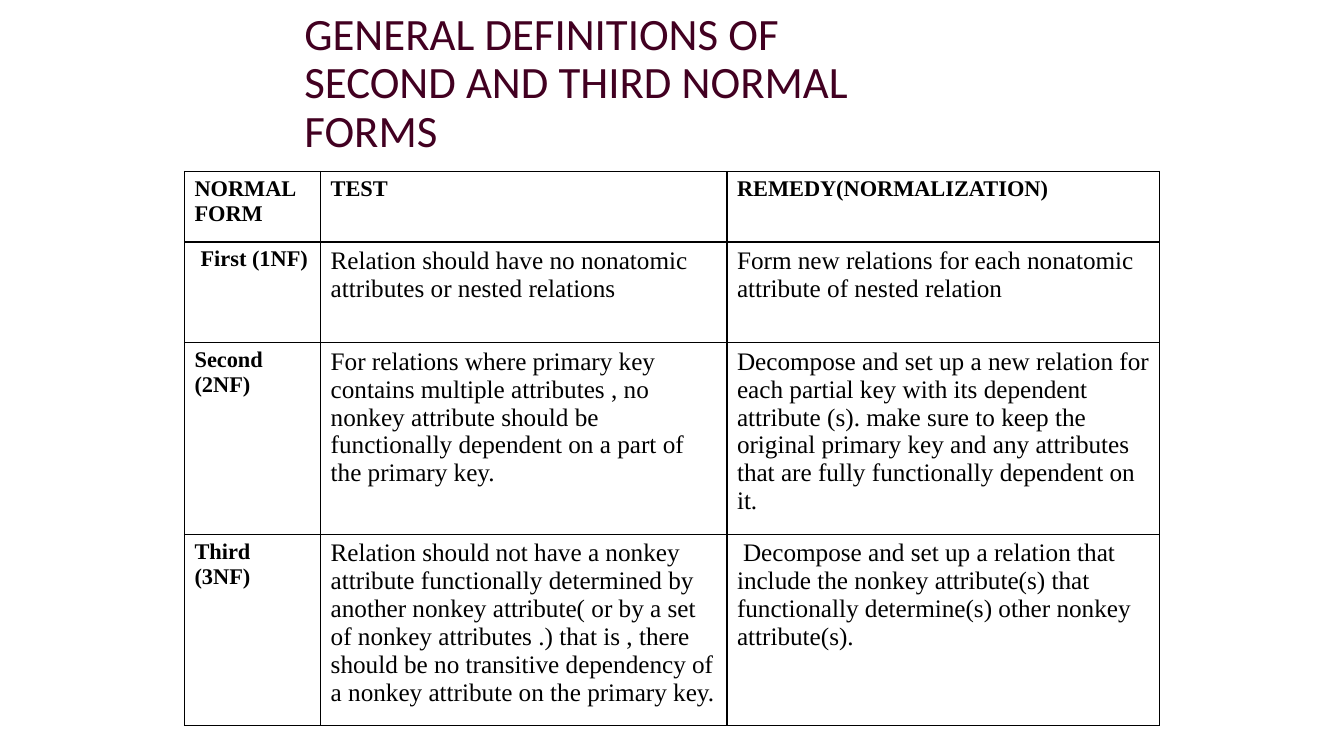
from lxml import etree
from pptx import Presentation, util as u
from pptx.dml.color import RGBColor
from pptx.enum import text
from pptx.oxml import ns

PX = 9144  # EMU per px, 100 px to the inch
COLORS = {"title": "420021", "ink": "000000"}
COLUMN_WIDTHS = [135, 403, 429]
ROW_HEIGHTS = [70, 100, 190, 190]
ROWS = [
    ["NORMAL FORM", "TEST", "REMEDY(NORMALIZATION)"],
    ["First (1NF)",
     "Relation should have no nonatomic attributes or nested relations",
     "Form new relations for each nonatomic attribute of nested relation"],
    ["Second (2NF)",
     "For relations where primary key contains multiple attributes , no nonkey "
     "attribute should be functionally dependent on a part of the primary key.",
     "Decompose and set up a new relation for each partial key with its dependent "
     "attribute (s). make sure to keep the original primary key and any attributes "
     "that are fully functionally dependent on it."],
    ["Third (3NF)",
     "Relation should not have a nonkey attribute functionally determined by another "
     "nonkey attribute( or by a set of nonkey attributes .) that is , there should be "
     "no transitive dependency of a nonkey attribute on the primary key.",
     "Decompose and set up a relation that include the nonkey attribute(s) that "
     "functionally determine(s) other nonkey attribute(s)."],
]
FIRST_LINE_INDENTS = {(1, 0): 6, (3, 2): 6}


def px(length):
    return u.Emu(length * PX)


def add_run(paragraph, wording, font_name, size, color, bold=False):
    run = paragraph.add_run()
    run.text = wording
    run.font.name = font_name
    run.font.size = u.Pt(size)
    run.font.bold = bold
    run.font.color.rgb = RGBColor.from_string(COLORS[color])


def add_title(slide, wording, left, top, width, height):
    shape = slide.shapes.add_textbox(px(left), px(top), px(width), px(height))
    frame = shape.text_frame
    frame.word_wrap = True
    frame.vertical_anchor = text.MSO_ANCHOR.MIDDLE
    paragraph = frame.paragraphs[0]
    paragraph.line_spacing = 0.9
    add_run(paragraph, wording, "Calibri", 32, "title")


def set_borders(cell):
    """Draw a 1 pt line on all four sides; borders must precede the fill."""
    properties = cell._tc.get_or_add_tcPr()
    for position, side in enumerate(["lnL", "lnR", "lnT", "lnB"]):
        line = etree.Element(ns.qn(f"a:{side}"), w=str(u.Pt(1)))
        fill = etree.SubElement(line, ns.qn("a:solidFill"))
        etree.SubElement(fill, ns.qn("a:srgbClr"), val=COLORS["ink"])
        properties.insert(position, line)


def fill_cell(cell, wording, heading, indent):
    cell.fill.background()
    set_borders(cell)
    paragraph = cell.text_frame.paragraphs[0]
    if indent:
        paragraph._p.get_or_add_pPr().set("indent", str(px(indent)))
    add_run(paragraph, wording, "Times New Roman", 16 if heading else 18, "ink", heading)


def add_normal_forms_table(slide, left, top):
    frame = slide.shapes.add_table(
        len(ROWS), len(COLUMN_WIDTHS), px(left), px(top),
        px(sum(COLUMN_WIDTHS)), px(sum(ROW_HEIGHTS)))
    table = frame.table
    table.first_row = table.horz_banding = False
    for column, width in zip(table.columns, COLUMN_WIDTHS):
        column.width = px(width)
    for row, height in zip(table.rows, ROW_HEIGHTS):
        row.height = px(height)
    for i, wordings in enumerate(ROWS):
        for j, wording in enumerate(wordings):
            fill_cell(table.cell(i, j), wording, i == 0 or j == 0,
                      FIRST_LINE_INDENTS.get((i, j), 0))


def main():
    presentation = Presentation()
    presentation.slide_width = px(1333)
    presentation.slide_height = px(750)
    slide = presentation.slides.add_slide(presentation.slide_layouts[6])
    add_title(slide, "GENERAL DEFINITIONS OF SECOND AND THIRD NORMAL FORMS",
              292, 0, 641, 167)
    add_normal_forms_table(slide, 183, 170)
    presentation.save("out.pptx")


if __name__ == "__main__":
    main()
